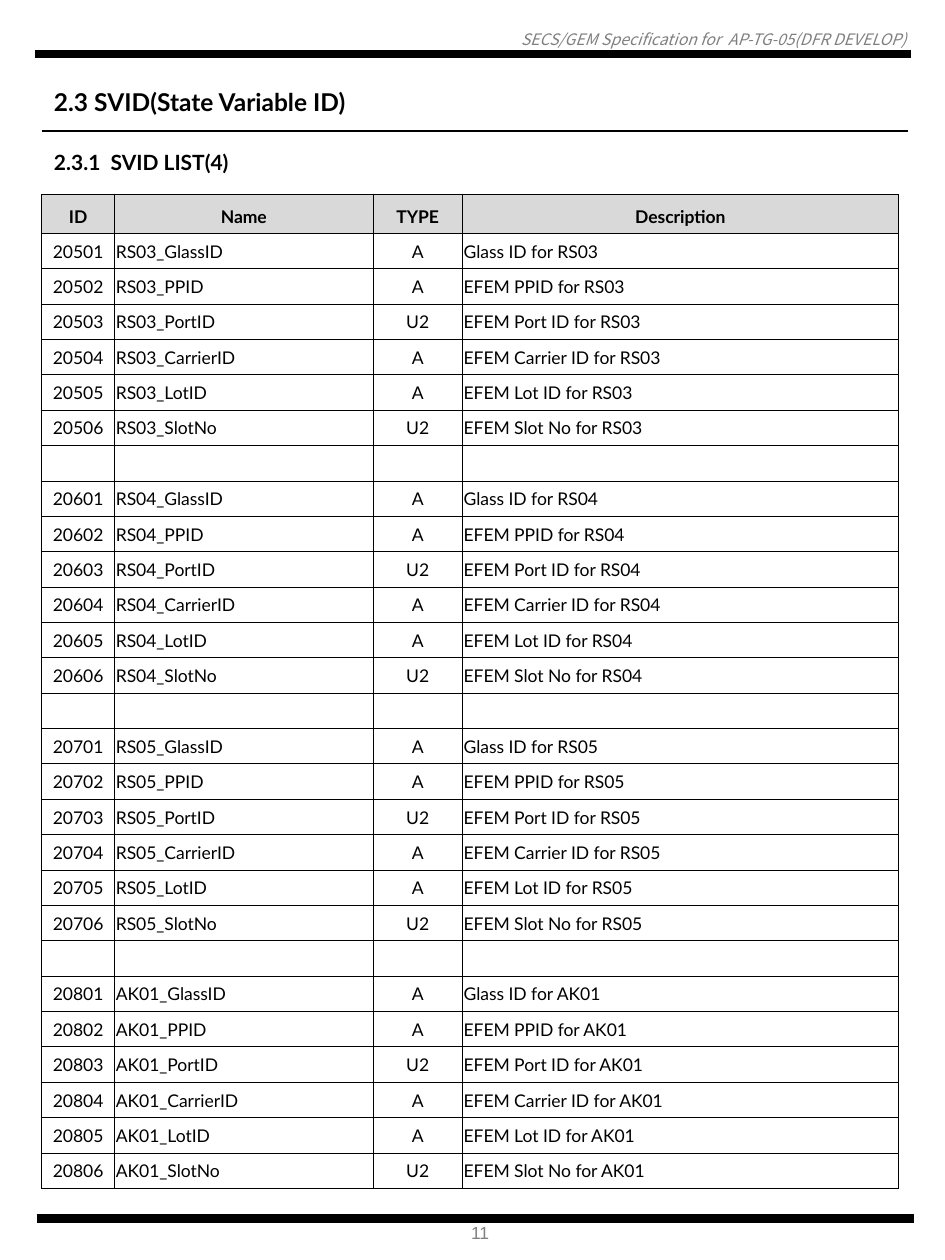
from lxml.etree import SubElement
from pptx import Presentation
from pptx.dml.color import RGBColor
from pptx.enum.shapes import MSO_CONNECTOR
from pptx.enum.text import MSO_ANCHOR, PP_ALIGN
from pptx.oxml.ns import qn
from pptx.util import Inches, Pt

COLORS = {"ink": "000000", "gray": "808080", "head": "D9D9D9"}
UNIT = 0.1
WIDE, HIGH = 75, 100


def size(cells):
    return Inches(cells * UNIT)


def tint(name):
    return RGBColor.from_string(COLORS[name])


class Page:
    font = "Lato"
    edge = 0.25

    def __init__(self, deck):
        self.slide = deck.slides.add_slide(deck.slide_layouts[6])

    def style(self, para, points, bold=False, color="ink", font=None, slant=False):
        for run in para.runs:
            run.font.name = font or self.font
            run.font.size = Pt(points)
            run.font.bold = bold
            run.font.italic = slant
            run.font.color.rgb = tint(color)

    def text(self, words, box, points, align=PP_ALIGN.LEFT, tight=False, **look):
        frame = self.slide.shapes.add_textbox(*map(size, box)).text_frame
        frame.word_wrap = tight
        if tight:
            frame.margin_left = frame.margin_right = 0
            frame.margin_top = frame.margin_bottom = 0
            frame.vertical_anchor = MSO_ANCHOR.BOTTOM
        frame.text = words
        para = frame.paragraphs[0]
        para.alignment = align
        self.style(para, points, **look)

    def rule(self, left, right, top, points):
        line = self.slide.shapes.add_connector(
            MSO_CONNECTOR.STRAIGHT, size(left), size(top), size(right), size(top))
        line.line.color.rgb = tint("ink")
        line.line.width = Pt(points)
        SubElement(line._element.spPr, qn("a:effectLst"))

    def frame(self, cell):
        props = cell._tc.get_or_add_tcPr()
        for side in ("lnL", "lnR", "lnT", "lnB"):
            line = SubElement(props, qn("a:" + side), w=str(Pt(self.edge)))
            fill = SubElement(line, qn("a:solidFill"))
            SubElement(fill, qn("a:srgbClr"), val=COLORS["ink"])

    def cell(self, cell, words, center, head):
        self.frame(cell)
        side, top, foot = (0, 0.4, 0.4) if head else (0.1, 0.1, 0)
        cell.margin_left = cell.margin_right = size(side)
        cell.margin_top, cell.margin_bottom = size(top), size(foot)
        cell.vertical_anchor = MSO_ANCHOR.MIDDLE
        if head:
            cell.fill.solid()
            cell.fill.fore_color.rgb = tint("head")
        else:
            cell.fill.background()
        cell.text_frame.text = words
        para = cell.text_frame.paragraphs[0]
        para.alignment = PP_ALIGN.CENTER if center else PP_ALIGN.LEFT
        if head:
            para.line_spacing = Pt(16)
        self.style(para, 10, bold=head)
        if not words:
            SubElement(para._p, qn("a:endParaRPr"), sz="1000")

    def table(self, rows, box, widths, first):
        shape = self.slide.shapes.add_table(len(rows), len(widths), *map(size, box))
        table = shape.table
        table.first_row = table.horz_banding = False
        for col, width in zip(table.columns, widths):
            col.width = size(width)
        rest = (box[3] - first) / (len(rows) - 1)
        for r, row in enumerate(rows):
            table.rows[r].height = size(rest if r else first)
            for c, words in enumerate(row):
                self.cell(table.cell(r, c), words, r == 0 or c in (0, 2), r == 0)


def list_rows():
    fields = [
        ("GlassID", "A", "Glass ID"),
        ("PPID", "A", "EFEM PPID"),
        ("PortID", "U2", "EFEM Port ID"),
        ("CarrierID", "A", "EFEM Carrier ID"),
        ("LotID", "A", "EFEM Lot ID"),
        ("SlotNo", "U2", "EFEM Slot No"),
    ]
    rows = [("ID", "Name", "TYPE", "Description")]
    for g, unit in enumerate(("RS03", "RS04", "RS05", "AK01")):
        if g:
            rows.append(("",) * 4)
        for n, (name, kind, note) in enumerate(fields, 1):
            code = str(20500 + 100 * g + n)
            rows.append((code, f"{unit}_{name}", kind, f"{note} for {unit}"))
    return rows


def main():
    deck = Presentation()
    deck.slide_width, deck.slide_height = size(WIDE), size(HIGH)
    page = Page(deck)
    page.text("SECS/GEM Specification for  AP-TG-05(DFR DEVELOP)",
              (0.5, 2.4, 71.4, 1.5), 9, PP_ALIGN.RIGHT, tight=True,
              color="gray", font="Noto Sans CJK KR", slant=True)
    page.rule(2.8, 72.3, 4.3, 4.75)
    page.rule(2.9, 72.5, 96.7, 4.75)
    page.text("11", (36.4, 96.5, 3.7, 2.7), 10, color="gray", font="Arial")
    page.text("2.3 SVID(State Variable ID)", (3.3, 6.4, 29.5, 3.4), 14, bold=True)
    page.rule(3.3, 72.1, 10.4, 0.75)
    page.text("2.3.1  SVID LIST(4)", (3.3, 11.4, 18.5, 3), 12, bold=True)
    page.table(list_rows(), (3.3, 15.4, 68, 78.9), (5.8, 20.5, 7.1, 34.6), 3.1)
    deck.save("out.pptx")


if __name__ == "__main__":
    main()
